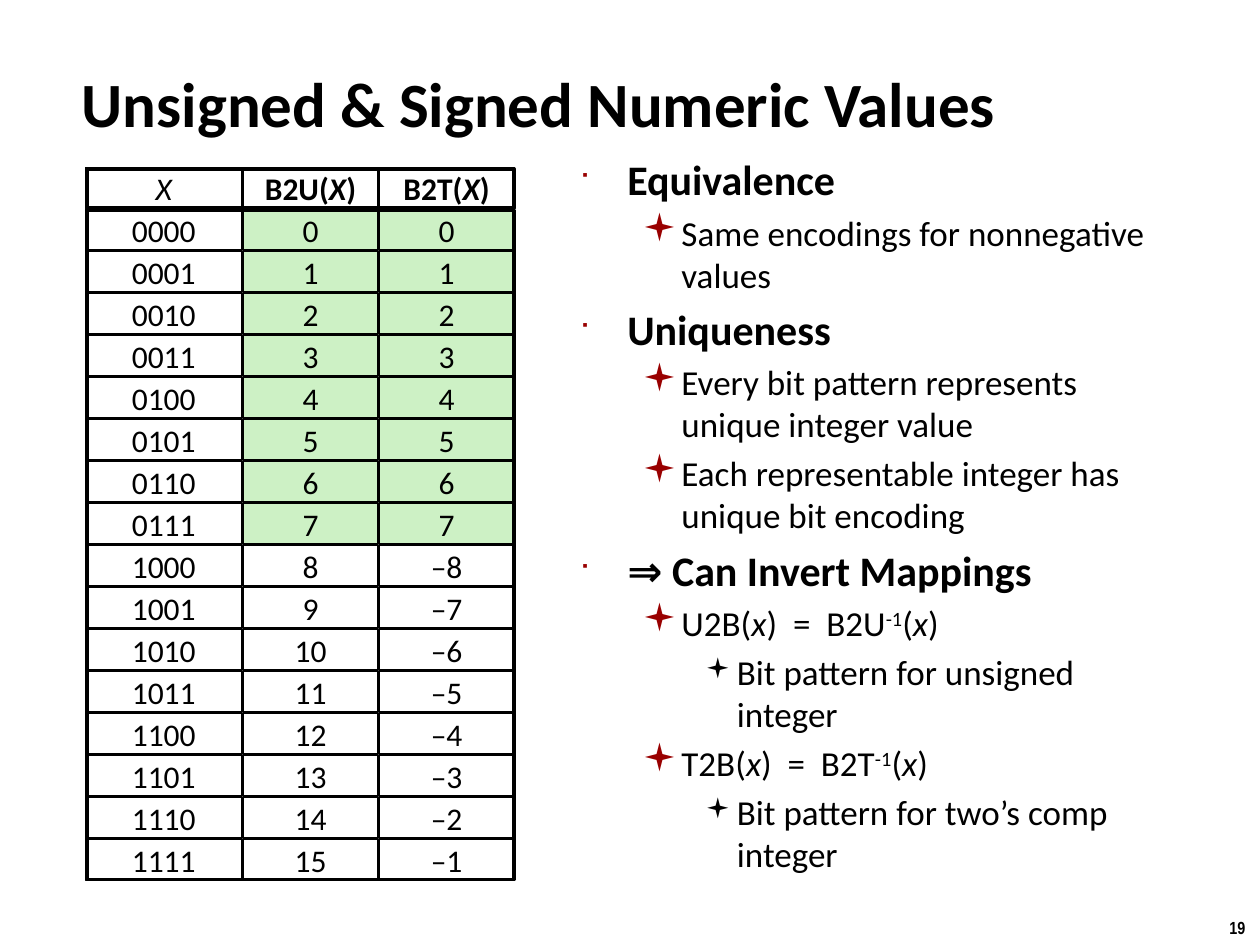
"""Build the slide on unsigned and signed numeric values."""
import pptx
import pptx.dml.color
import pptx.enum.shapes
import pptx.enum.text
import pptx.oxml
import pptx.oxml.ns
import pptx.util
from pptx.util import Inches

BLACK = pptx.dml.color.RGBColor(0x00, 0x00, 0x00)
WHITE = pptx.dml.color.RGBColor(0xFF, 0xFF, 0xFF)
GREEN = pptx.dml.color.RGBColor(0xCD, 0xF1, 0xC5)
RED = pptx.dml.color.RGBColor(0x99, 0x00, 0x00)

TITLE = "Unsigned & Signed Numeric Values"
PAGE_NUMBER = "19"
BITS = 4
HEADER = [
    [("X", "i")],
    [("B2U(", "b"), ("X", "bi"), (")", "b")],
    [("B2T(", "b"), ("X", "bi"), (")", "b")],
]


def inverse(name, source):
    """Return the runs that define one inverse mapping."""
    return [(name + "(", ""), ("x", "i"), (")  =  " + source, ""),
            ("-1", "^"), ("(", ""), ("x", "i"), (")", "")]


POINTS = [
    (0, [("Equivalence", "b")]),
    (1, [("Same encodings for nonnegative values", "")]),
    (0, [("Uniqueness", "b")]),
    (1, [("Every bit pattern represents unique integer value", "")]),
    (1, [("Each representable integer has unique bit encoding", "")]),
    (0, [("⇒ Can Invert Mappings", "b")]),
    (1, inverse("U2B", "B2U")),
    (2, [("Bit pattern for unsigned integer", "")]),
    (1, inverse("T2B", "B2T")),
    (2, [("Bit pattern for two’s comp integer", "")]),
]
LEVELS = [
    {"size": 24, "margin": 0.38, "hang": 0.38, "bullet": "■", "scale": 60, "color": RED},
    {"size": 20, "margin": 0.81, "hang": 0.31, "bullet": "▪", "scale": 110, "color": RED},
    {"size": 20, "margin": 1.25, "hang": 0.25, "bullet": "▪", "scale": 80, "color": BLACK},
]

COLUMNS = [(0.68, 1.24), (1.93, 1.07), (3.01, 1.07)]
GRID_TOP, ROW_PITCH, CELL_HEIGHT = 1.33, 1 / 3, 0.32
FRAMES = [(1.34, 0.31), (1.67, 5.31)]
FRAME_LEFT, FRAME_WIDTH = 0.69, 3.39


def add_runs(para, runs, size, font="Calibri"):
    """Add styled runs: b is bold, i is italic, ^ is superscript."""
    for text, style in runs:
        span = para.add_run()
        span.text = text
        span.font.name = font
        span.font.size = pptx.util.Pt(size)
        span.font.color.rgb = BLACK
        span.font.bold = "b" in style
        span.font.italic = "i" in style
        if "^" in style:
            span._r.get_or_add_rPr().set("baseline", "30000")


def add_box(page, left, top, width, height, inset_x=0.1, inset_y=0.05):
    """Add a wrapping text box and return its text frame."""
    box = page.shapes.add_textbox(Inches(left), Inches(top), Inches(width), Inches(height))
    frame = box.text_frame
    frame.word_wrap = True
    frame.margin_left = frame.margin_right = Inches(inset_x)
    frame.margin_top = frame.margin_bottom = Inches(inset_y)
    return frame


def set_bullet(para, level):
    """Apply the indent, spacing and bullet of an outline level."""
    props = para._p.get_or_add_pPr()
    props.set("marL", str(Inches(level["margin"])))
    props.set("indent", str(-Inches(level["hang"])))
    para.space_before = pptx.util.Pt(level["size"] * 0.2)
    namespace = pptx.oxml.ns.nsdecls("a")
    for markup in (
        f'<a:buClr {namespace}><a:srgbClr val="{level["color"]}"/></a:buClr>',
        f'<a:buSzPct {namespace} val="{level["scale"] * 1000}"/>',
        f'<a:buFont {namespace} typeface="Wingdings" charset="2"/>',
        f'<a:buChar {namespace} char="{level["bullet"]}"/>',
    ):
        props.append(pptx.oxml.parse_xml(markup))


def add_rectangle(group, left, top, width, height, line_width, fill=None):
    """Add a black-edged rectangle, open unless a fill is given."""
    shape = group.shapes.add_shape(
        pptx.enum.shapes.MSO_SHAPE.RECTANGLE,
        Inches(left), Inches(top), Inches(width), Inches(height))
    shape.shadow.inherit = False
    shape.line.color.rgb = BLACK
    shape.line.width = pptx.util.Pt(line_width)
    if fill is None:
        shape.fill.background()
    else:
        shape.fill.solid()
        shape.fill.fore_color.rgb = fill
    return shape


def add_value_grid(page):
    """Add the grid of bit patterns with both readings."""
    count = 2 ** BITS
    rows = [HEADER]
    for value in range(count):
        signed = str(value) if value < count // 2 else f"–{count - value}"
        rows.append([[(text, "")] for text in (f"{value:0{BITS}b}", str(value), signed)])
    group = page.shapes.add_group_shape()
    for row_index, row in enumerate(rows):
        top = GRID_TOP + row_index * ROW_PITCH
        for column_index, (runs, (left, width)) in enumerate(zip(row, COLUMNS)):
            same = 0 < row_index <= count // 2 and column_index > 0
            cell = add_rectangle(group, left, top, width, CELL_HEIGHT, 1,
                                 GREEN if same else WHITE)
            frame = cell.text_frame
            frame.word_wrap = False
            frame.vertical_anchor = pptx.enum.text.MSO_ANCHOR.MIDDLE
            para = frame.paragraphs[0]
            para.alignment = pptx.enum.text.PP_ALIGN.CENTER
            add_runs(para, runs, 18)
    for top, height in FRAMES:
        add_rectangle(group, FRAME_LEFT, top, FRAME_WIDTH, height, 2)


def main():
    """Assemble and save the deck."""
    deck = pptx.Presentation()
    deck.slide_width, deck.slide_height = Inches(10), Inches(7.5)
    page = deck.slides.add_slide(deck.slide_layouts[6])

    number = add_box(page, 9.66, 7.23, 0.34, 0.27)
    number.word_wrap = False
    add_runs(number.paragraphs[0], [(PAGE_NUMBER, "b")], 10, "Arial Narrow")

    title = add_box(page, 0.58, 0.48, 9.08, 0.61, 0.07, 0.03)
    add_runs(title.paragraphs[0], [(TITLE, "b")], 36)

    body = add_box(page, 4.5, 1.17, 4.88, 5.71)
    for index, (depth, runs) in enumerate(POINTS):
        para = body.add_paragraph() if index else body.paragraphs[0]
        para.level = depth
        set_bullet(para, LEVELS[depth])
        add_runs(para, runs, LEVELS[depth]["size"])

    add_value_grid(page)
    deck.save("out.pptx")


if __name__ == "__main__":
    main()
